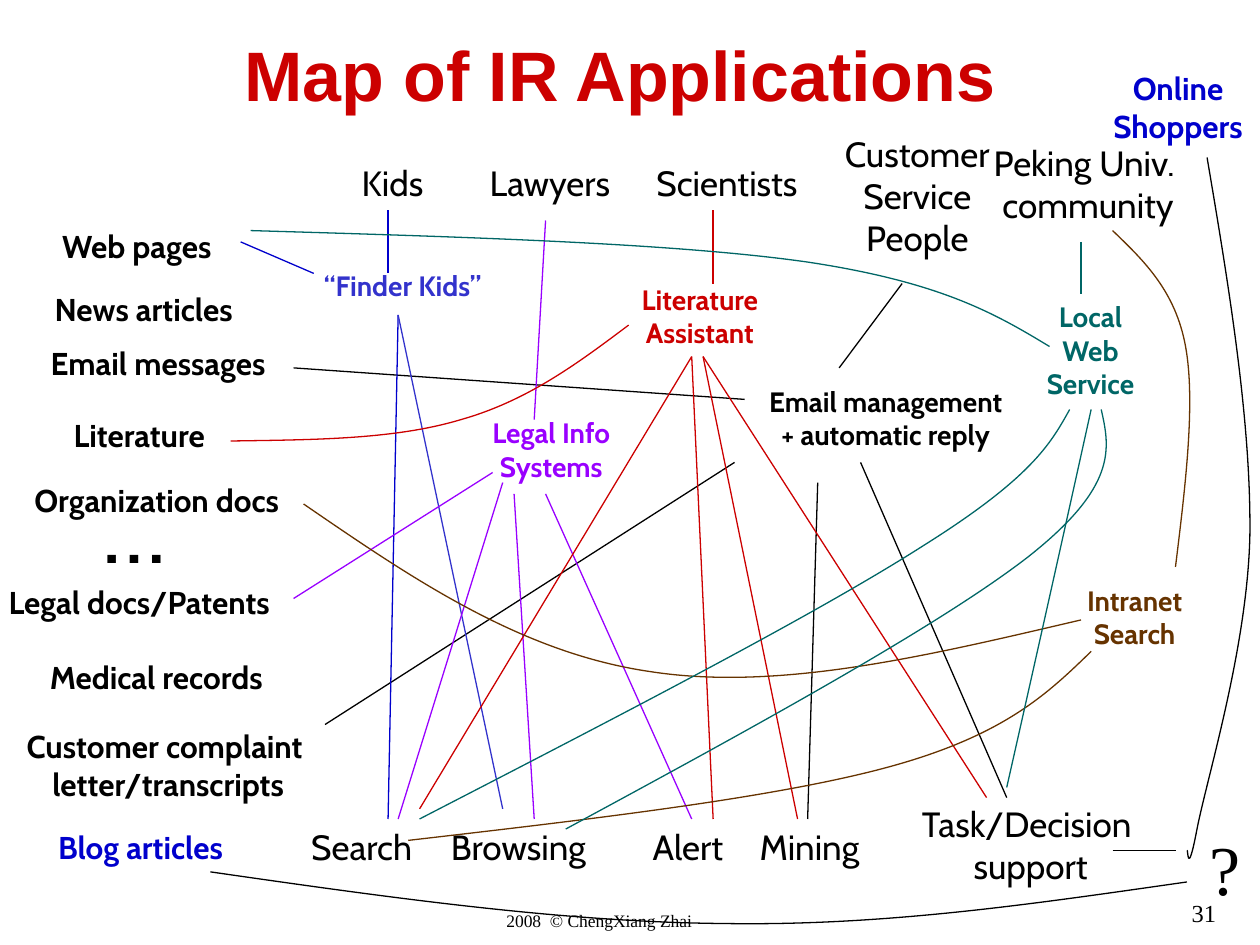
from dataclasses import dataclass

from lxml import etree
from pptx import Presentation
from pptx.dml.color import RGBColor
from pptx.enum.shapes import MSO_CONNECTOR
from pptx.enum.text import MSO_ANCHOR, MSO_AUTO_SIZE, PP_ALIGN
from pptx.oxml.ns import qn
from pptx.util import Inches, Pt

LINE = MSO_CONNECTOR.STRAIGHT
LEFT, MID, RIGHT = PP_ALIGN.LEFT, PP_ALIGN.CENTER, PP_ALIGN.RIGHT
TOP, CENTRE = MSO_ANCHOR.TOP, MSO_ANCHOR.MIDDLE
GROW, FIXED = MSO_AUTO_SIZE.SHAPE_TO_FIT_TEXT, MSO_AUTO_SIZE.NONE


@dataclass(frozen=True)
class Theme:
    """Colours, fonts and sizes of the slide."""
    black: str = "000000"
    red: str = "CC0000"
    blue: str = "0000CC"
    indigo: str = "3333CC"
    violet: str = "9900FF"
    brown: str = "663300"
    teal: str = "006666"
    sans: str = "Cabin"
    serif: str = "Times New Roman"
    head: str = "Arial"
    title: int = 40
    dots: int = 54
    group: int = 20
    source: int = 18
    app: int = 16
    page: int = 14
    note: int = 10
    rule: float = 0.75


T = Theme()


def write(shapes, text, x, y, w, h=None, size=T.app, color=T.black, font=T.sans,
          bold=False, align=MID, anchor=TOP, wrap=False):
    """Add a text box, one paragraph a line; its height follows the text if not given."""
    rows = text.split("\n")
    tall = h or 0.1 + len(rows) * size / 60
    box = shapes.add_textbox(Inches(x), Inches(y), Inches(w), Inches(tall))
    frame = box.text_frame
    frame.word_wrap = wrap
    frame.auto_size = FIXED if h else GROW
    frame.vertical_anchor = anchor
    frame.text = text
    for para in frame.paragraphs:
        para.alignment = align
        face = para.runs[0].font
        face.name, face.size, face.bold = font, Pt(size), bold
        face.color.rgb = RGBColor.from_string(color)


def ink(shape, color):
    """Give a line its colour and width."""
    shape.line.color.rgb = RGBColor.from_string(color)
    shape.line.width = Pt(T.rule)


def link(shapes, box, color, x1, y1, x2, y2):
    """Draw a straight line within the box."""
    x, y = box
    wire = shapes.add_connector(LINE, Inches(x + x1), Inches(y + y1),
                                Inches(x + x2), Inches(y + y2))
    ink(wire, color)
    etree.SubElement(wire._element.spPr, qn("a:effectLst"))


def curve(shapes, box, color, *knots):
    """Draw a smooth open line through cubic segments within the box."""
    x, y = box
    first, *rest = [(Inches(x + p), Inches(y + q)) for p, q in knots]
    pen = shapes.build_freeform(*first)
    pen.add_line_segments(rest, close=False)
    shape = pen.convert_to_shape()
    legs = list(shape._element.iter(qn("a:lnTo")))
    for i in range(0, len(legs), 3):
        bend = etree.Element(qn("a:cubicBezTo"))
        legs[i].addprevious(bend)
        for leg in legs[i:i + 3]:
            bend.append(leg[0])
            leg.getparent().remove(leg)
    shape.fill.background()
    shape.shadow.inherit = False
    ink(shape, color)


def header(shapes, box):
    """Place the title."""
    x, y = box
    write(shapes, "Map of IR Applications", x, y, 9.5, 1.17, size=T.title, color=T.red,
          font=T.head, bold=True, anchor=CENTRE, wrap=True)


def footer(shapes, box):
    """Place the copyright line and the page number."""
    x, y = box
    write(shapes, "2008  © ChengXiang Zhai", x, y + 0.09, 5.58, 0.5, size=T.note,
          font=T.serif, align=LEFT, wrap=True)
    write(shapes, "31", x + 3.75, y, 2.08, 0.5, size=T.page, font=T.serif,
          align=RIGHT, wrap=True)


def labels(shapes, box, items, **form):
    """Place labels of one format at their offsets in the box."""
    x, y = box
    for text, dx, dy, w in items:
        write(shapes, text, x + dx, y + dy, w, **form)


def sources(shapes, box):
    """Place the column of data sources."""
    x, y = box
    labels(shapes, box, [
        ("Web pages", 0.31, 0, 1.55),
        ("News articles", 0.2, 0.5, 1.88),
        ("Email messages", 0.17, 0.93, 2.17),
        ("Literature", 0.37, 1.5, 1.47),
        ("Organization docs", 0.01, 2.02, 2.47),
        ("Legal docs/Patents", -0.18, 2.83, 2.57),
        ("Medical records", 0.15, 3.42, 2.18),
        ("Customer complaint \nletter/transcripts", -0.07, 3.97, 2.81),
    ], size=T.source, bold=True)
    write(shapes, "…", x + 0.52, y + 1.92, 1.1, size=T.dots, wrap=True)


def users(shapes, box):
    """Place the row of user groups."""
    labels(shapes, box, [
        ("Kids", 0, 0.23, 0.75),
        ("Peking Univ. \ncommunity", 4.95, 0.07, 1.89),
        ("Lawyers", 0.99, 0.23, 1.27),
        ("Scientists", 2.32, 0.23, 1.42),
        ("Customer\nService\nPeople", 3.8, 0, 1.48),
    ], size=T.group)


def tasks(shapes, box):
    """Place the row of functions."""
    labels(shapes, box, [
        ("Search", 0, 0.18, 1.08),
        ("Browsing", 1.07, 0.18, 1.43),
        ("Alert", 2.72, 0.18, 0.82),
        ("Mining", 3.54, 0.18, 1.11),
        ("Task/Decision \nsupport", 4.81, 0, 2.08),
    ], size=T.group)


def app(shapes, box, name, place, color, lines=(), curves=(), tint=None):
    """Place one application and the group of its links."""
    x, y = box
    dx, dy, w = place
    part = shapes.add_group_shape().shapes
    for ends in lines:
        link(part, box, tint or color, *ends)
    for knots in curves:
        curve(part, box, color, *knots)
    write(shapes, name, x + dx, y + dy, w, color=color, bold=True)
    return part


def apps(shapes, box):
    """Place all applications on the map."""
    app(shapes, box, "Email management\n+ automatic reply", (5.85, 3, 2.36), T.black, [
        (7.16, 2.25, 6.66, 2.92), (2.33, 2.92, 5.91, 3.17), (2.58, 5.75, 5.83, 3.67),
        (6.41, 6.5, 6.49, 3.83), (7.99, 6.33, 6.83, 3.67)])
    kids = app(shapes, box, "“Finder Kids”", (2.35, 2.08, 1.69), T.indigo, [
        (3.08, 6.5, 3.16, 2.5), (1.91, 1.92, 2.49, 2.17), (3.08, 1.67, 3.08, 2.17)],
        tint=T.blue)
    link(kids, box, T.indigo, 3.99, 6.42, 3.16, 2.5)
    app(shapes, box, "Legal Info\nSystems", (3.72, 3.25, 1.31), T.violet, [
        (2.33, 4.75, 3.91, 3.75), (3.16, 6.5, 3.99, 3.83), (4.24, 6.5, 4.08, 3.92),
        (5.49, 6.5, 4.33, 3.92), (4.33, 1.75, 4.24, 3.33)])
    app(shapes, box, "Literature\nAssistant", (4.89, 2.19, 1.33), T.red, [
        (5.66, 6.5, 5.49, 2.83), (6.33, 6.5, 5.58, 2.83), (3.33, 6.42, 5.49, 2.83),
        (5.66, 1.67, 5.66, 2.25), (7.83, 6.33, 5.58, 2.83)], [
        [(1.83, 3.5), (2.48, 3.49), (3.13, 3.49), (3.66, 3.33),
         (4.19, 3.18), (4.59, 2.88), (4.99, 2.58)]])
    app(shapes, box, "Intranet\nSearch", (8.44, 4.58, 1.13), T.brown, curves=[
        [(3.24, 6.67), (4.71, 6.5), (6.18, 6.33), (7.08, 6.08),
         (7.98, 5.83), (8.32, 5.5), (8.66, 5.17)],
        [(2.41, 4), (3.27, 4.59), (4.13, 5.18), (5.16, 5.33),
         (6.19, 5.49), (7.38, 5.2), (8.58, 4.92)],
        [(8.83, 1.83), (9.08, 2.07), (9.33, 2.31), (9.41, 2.75),
         (9.49, 3.19), (9.41, 3.85), (9.33, 4.5)]])
    app(shapes, box, "Local\nWeb\nService", (8.16, 2.33, 0.99), T.teal, [
        (8.58, 1.92, 8.58, 2.33)], [
        [(1.99, 1.83), (3.68, 1.88), (5.36, 1.93), (6.41, 2.08),
         (7.47, 2.24), (7.9, 2.49), (8.33, 2.75)],
        [(3.33, 6.5), (4.9, 5.69), (6.47, 4.88), (7.33, 4.33),
         (8.19, 3.79), (8.34, 3.52), (8.49, 3.25)],
        [(7.99, 6.25), (7.99, 6.25), (8.33, 4.75), (8.66, 3.25)],
        [(4.49, 6.58), (5.97, 5.78), (7.45, 4.97), (8.16, 4.42),
         (8.87, 3.86), (8.81, 3.56), (8.74, 3.25)]])


def query(shapes, box):
    """Place the open question with its source, users and links."""
    x, y = box
    part = shapes.add_group_shape().shapes
    labels(part, box, [("Blog articles", 0.24, 6.02, 1.75), ("Online\nShoppers", 8.67, 0, 1.36)],
           size=T.source, color=T.blue, bold=True)
    curve(part, box, T.black, (9.58, 0.75), (9.76, 1.81), (9.93, 2.86), (9.92, 3.75),
          (9.9, 4.64), (9.58, 5.67), (9.5, 6.08), (9.42, 6.5), (9.43, 6.22), (9.42, 6.25))
    curve(part, box, T.black, (8.83, 6.25), (9.03, 6.25), (9.24, 6.25), (9.33, 6.25))
    curve(part, box, T.black, (1.67, 6.42), (3.06, 6.62), (4.46, 6.82), (5.75, 6.83),
          (7.04, 6.85), (8.23, 6.67), (9.42, 6.5))
    write(shapes, "?", x + 9.5, y + 6, 0.44, size=T.title, font=T.serif)


def main():
    """Build the slide and save it."""
    deck = Presentation()
    deck.slide_width, deck.slide_height = Inches(10), Inches(7.5)
    shapes = deck.slides.add_slide(deck.slide_layouts[6]).shapes
    footer(shapes, (3.92, 7.08))
    header(shapes, (0.17, 0))
    sources(shapes, (0, 1.75))
    users(shapes, (2.74, 1))
    tasks(shapes, (2.33, 6.32))
    apps(shapes, (0, 0))
    query(shapes, (0, 0.5))
    deck.save("out.pptx")


if __name__ == "__main__":
    main()
